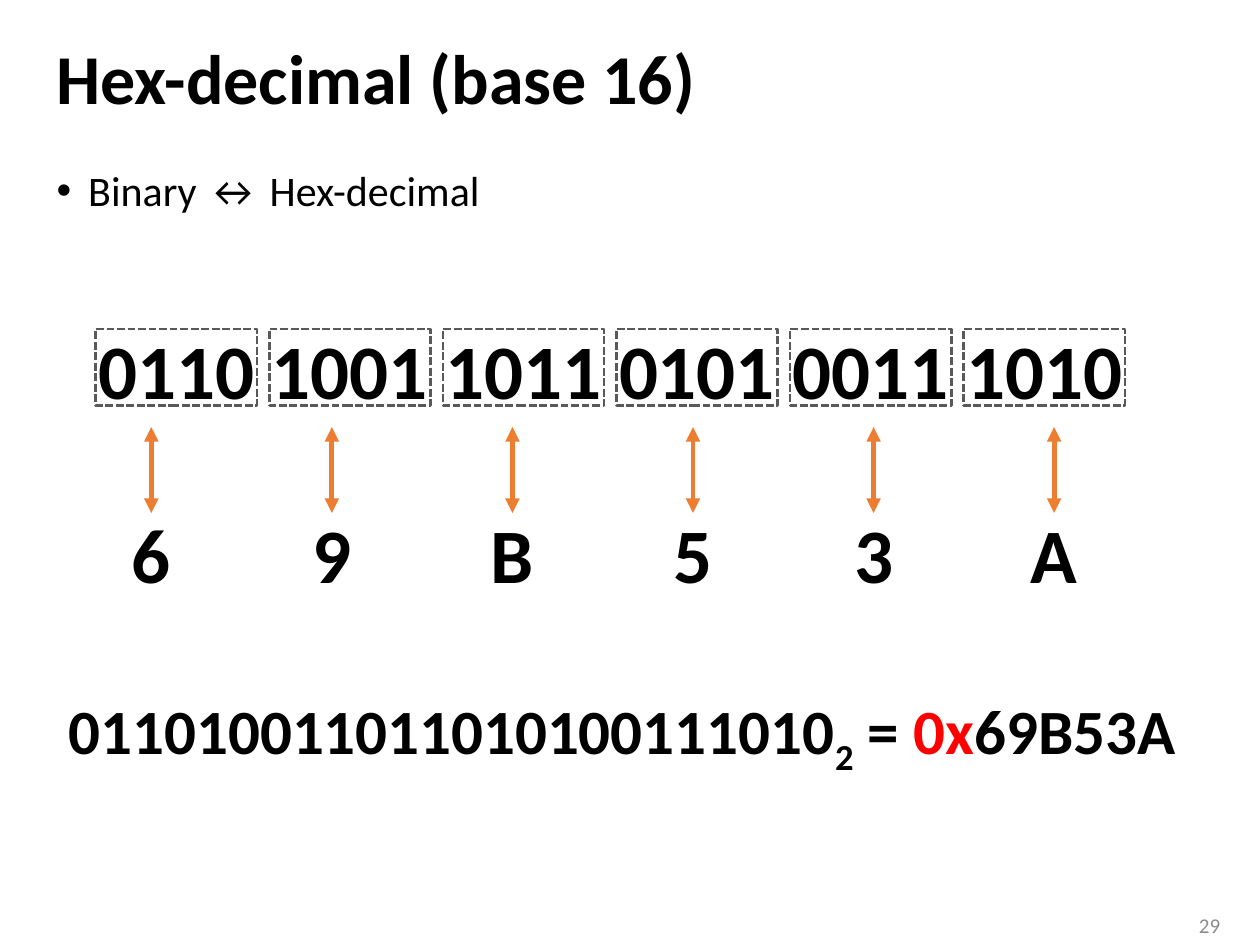
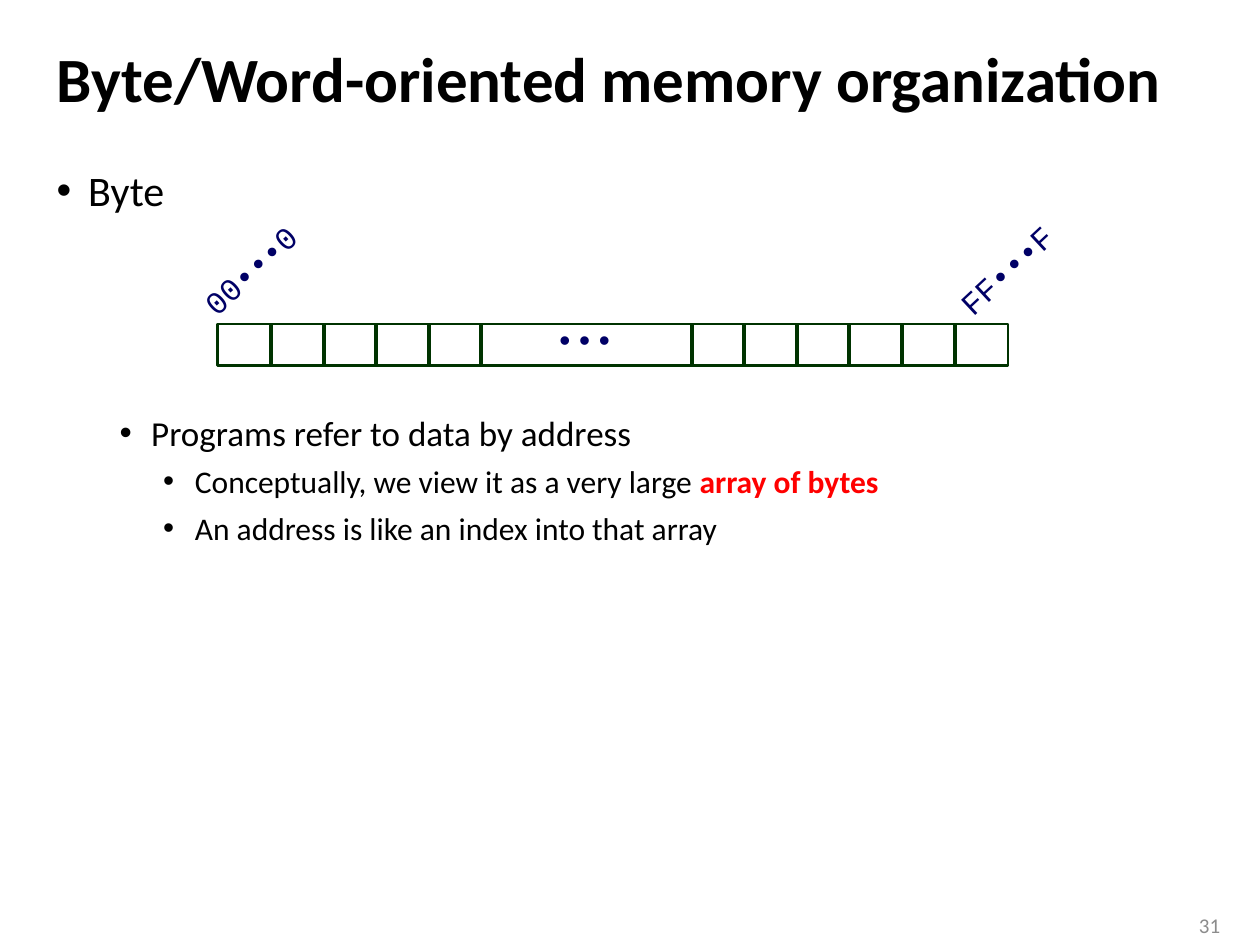
"""Two lecture slides on hexadecimal notation and byte-oriented memory."""
from lxml import etree
from pptx import Presentation
from pptx import util as u
from pptx.dml.color import RGBColor
from pptx.enum import dml, shapes, text
from pptx.oxml.ns import qn

COLORS = {"black": "000000", "red": "FF0000", "gray": "8C8C8C", "dash": "595959",
          "arrow": "ED7D31", "cell": "003300", "navy": "000066"}
LEVELS = [(24, 0.64, 10), (20, 1.91, 5), (18, 2.79, 5)]
INDENT = u.Cm(0.64)
ALIGN = text.PP_ALIGN


def write(p, parts, size, color="black", bold=False, font="Calibri"):
    for part in parts:
        r = p.add_run()
        r.text = part
        r.font.size = u.Pt(size)
        r.font.name = font
        r.font.bold = bold
        r.font.color.rgb = RGBColor.from_string(COLORS[color])
    return p.runs


def add_box(s, x, y, w, h, align=ALIGN.LEFT, inset=0.25, wrap=False):
    sp = s.shapes.add_textbox(u.Cm(x), u.Cm(y), u.Cm(w), u.Cm(h))
    tf = sp.text_frame
    tf.word_wrap = wrap
    tf.margin_left = tf.margin_right = u.Cm(inset)
    tf.paragraphs[0].alignment = align
    return sp


prs = Presentation()
prs.slide_width, prs.slide_height = u.Cm(25.4), u.Cm(19.05)

contents = [
    ("Hex-decimal (base 16)", 40, "29", [(0, ["Binary ↔ Hex-decimal"])]),
    ("Byte/Word-oriented memory organization", 36, "31", [
        (0, ["Byte"]),
        (1, ["Programs refer to data by address"]),
        (2, ["Conceptually, we view it as a very large ", "array of bytes"]),
        (2, ["An address is like an index into that array"])]),
]
bodies = []
for title, size, number, bullets in contents:
    s = prs.slides.add_slide(prs.slide_layouts[5])
    sp = s.shapes.title
    sp.left, sp.top, sp.width, sp.height = u.Cm(0.89), u.Cm(0.48), u.Cm(23.6), u.Cm(2.34)
    tf = sp.text_frame
    tf.auto_size = text.MSO_AUTO_SIZE.NONE
    tf.vertical_anchor = text.MSO_ANCHOR.MIDDLE
    p = tf.paragraphs[0]
    p.alignment = ALIGN.LEFT
    p.line_spacing = 0.9
    write(p, [title], size, bold=True)

    tf = add_box(s, 0.89, 3.2, 23.6, 14.81, wrap=True).text_frame
    bodies.append(tf)
    for i, (level, parts) in enumerate(bullets):
        p = tf.add_paragraph() if i else tf.paragraphs[0]
        size, margin, space = LEVELS[level]
        pPr = p._p.get_or_add_pPr()
        pPr.set("marL", str(u.Cm(margin)))
        pPr.set("indent", str(-INDENT))
        etree.SubElement(pPr, qn("a:buFont")).set("typeface", "Arial")
        etree.SubElement(pPr, qn("a:buChar")).set("char", "•")
        p.level = level
        if i:
            p.space_before = u.Pt(space)
        write(p, parts, size)

    tf = add_box(s, 23.55, 18.26, 1.3, 0.79, ALIGN.RIGHT).text_frame
    tf.vertical_anchor = text.MSO_ANCHOR.MIDDLE
    write(tf.paragraphs[0], [number], 12, "gray")

hex_slide, memory_slide = prs.slides

nibbles = ["0110", "1001", "1011", "0101", "0011", "1010"]
for i, (nibble, digit) in enumerate(zip(nibbles, "69B53A")):
    x = 1.93 + 3.5 * i
    sp = hex_slide.shapes.add_shape(shapes.MSO_SHAPE.RECTANGLE,
                                    u.Cm(x), u.Cm(6.63), u.Cm(3.25), u.Cm(1.55))
    sp.shadow.inherit = False
    sp.fill.background()
    sp.line.color.rgb = RGBColor.from_string(COLORS["dash"])
    sp.line.width = u.Pt(1.5)
    sp.line.dash_style = dml.MSO_LINE.SQUARE_DOT
    sp = add_box(hex_slide, x, 6.38, 3.25, 2.13, ALIGN.CENTER, 0)
    write(sp.text_frame.paragraphs[0], [nibble], 44, bold=True)

    x = 3.05 + 3.64 * i
    sp = add_box(hex_slide, x - 1, 10.08, 2, 2.13, ALIGN.CENTER, 0)
    write(sp.text_frame.paragraphs[0], [digit], 44, bold=True)
    arrow = hex_slide.shapes.add_connector(shapes.MSO_CONNECTOR.STRAIGHT,
                                           u.Cm(x), u.Cm(8.61), u.Cm(x), u.Cm(10.34))
    arrow.line.color.rgb = RGBColor.from_string(COLORS["arrow"])
    arrow.line.width = u.Pt(2.75)
    spPr = arrow._element.spPr
    for end in ("a:headEnd", "a:tailEnd"):
        etree.SubElement(spPr.find(qn("a:ln")), qn(end)).set("type", "triangle")
    etree.SubElement(spPr, qn("a:effectLst"))

sp = add_box(hex_slide, 1.14, 13.82, 23.32, 1.8)
equation = write(sp.text_frame.paragraphs[0],
                 ["".join(nibbles), "2", " = ", "0x", "69B53A"], 36, bold=True)
equation[1]._r.get_or_add_rPr().set("baseline", "-25000")
equation[3].font.color.rgb = RGBColor.from_string(COLORS["red"])

paragraphs = bodies[1].paragraphs
paragraphs[1].space_before = u.Pt(112)
emphasis = paragraphs[2].runs[1].font
emphasis.bold = True
emphasis.color.rgb = RGBColor.from_string(COLORS["red"])

pitch = 1.06
for slot in [*range(6), *range(9, 15)]:
    span = 4 if slot == 5 else 1
    sp = memory_slide.shapes.add_shape(shapes.MSO_SHAPE.RECTANGLE,
                                       u.Cm(4.39 + pitch * slot), u.Cm(6.53),
                                       u.Cm(pitch * span + 0.03), u.Cm(0.84))
    sp.shadow.inherit = False
    sp.fill.background()
    sp.line.color.rgb = RGBColor.from_string(COLORS["cell"])
    sp.line.width = u.Pt(1.5)

labels = [("• • •", 9.65, 6.38, 4.27, 0, "Arial"),
          ("00•••0", 3.78, 4.98, 2.59, 317, "Courier New"),
          ("FF•••F", 19.02, 4.98, 2.59, 317, "Courier New")]
for label, x, y, w, angle, font in labels:
    sp = add_box(memory_slide, x, y, w, 0.99, ALIGN.CENTER, 0.14)
    sp.rotation = angle
    sp.text_frame.margin_top = sp.text_frame.margin_bottom = u.Cm(0.15)
    p = sp.text_frame.paragraphs[0]
    p.line_spacing = 0.9
    write(p, [label], 18, "navy", font=font)

prs.save("out.pptx")
